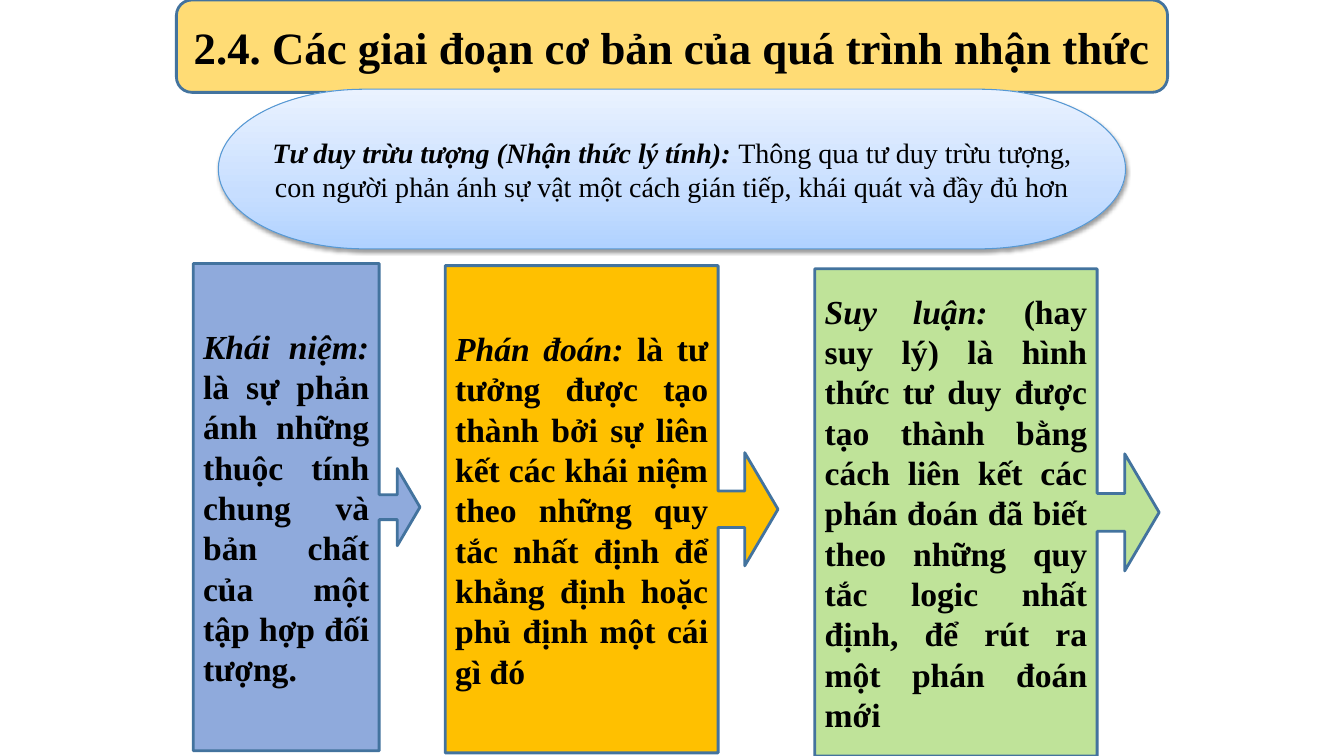
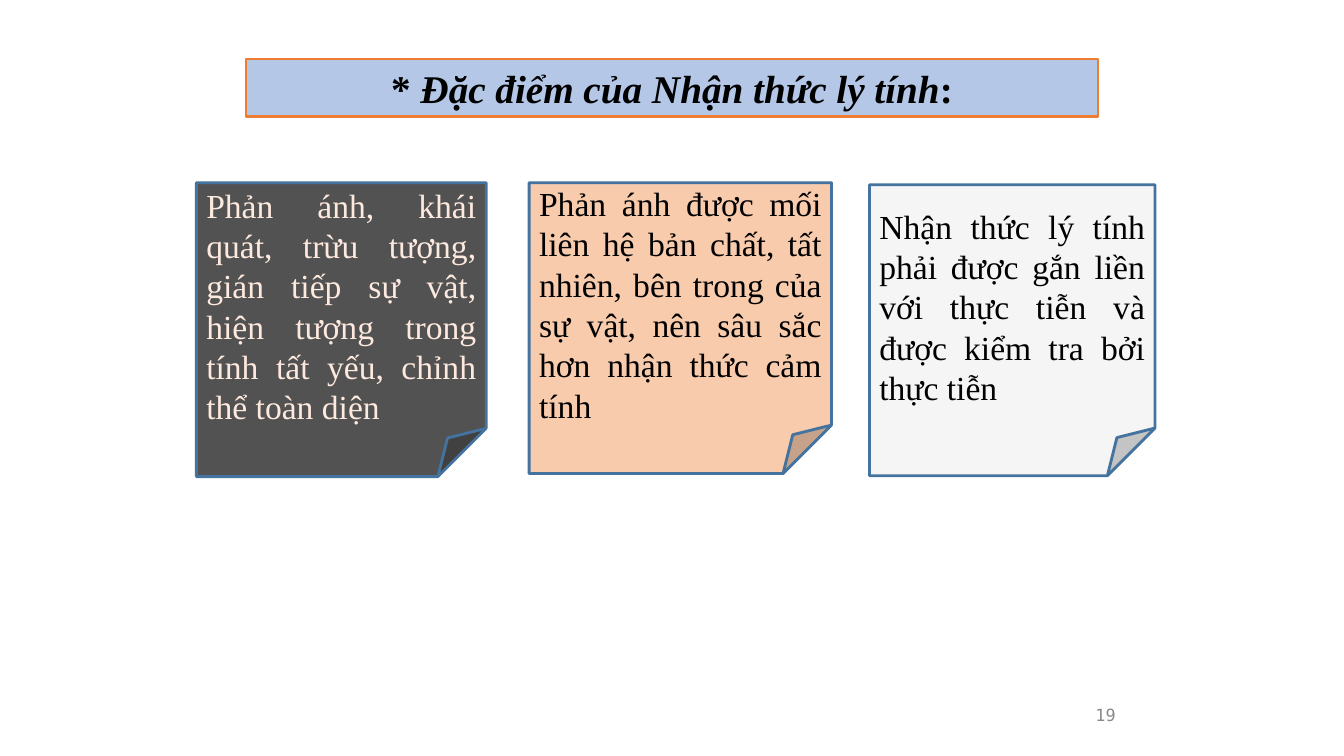
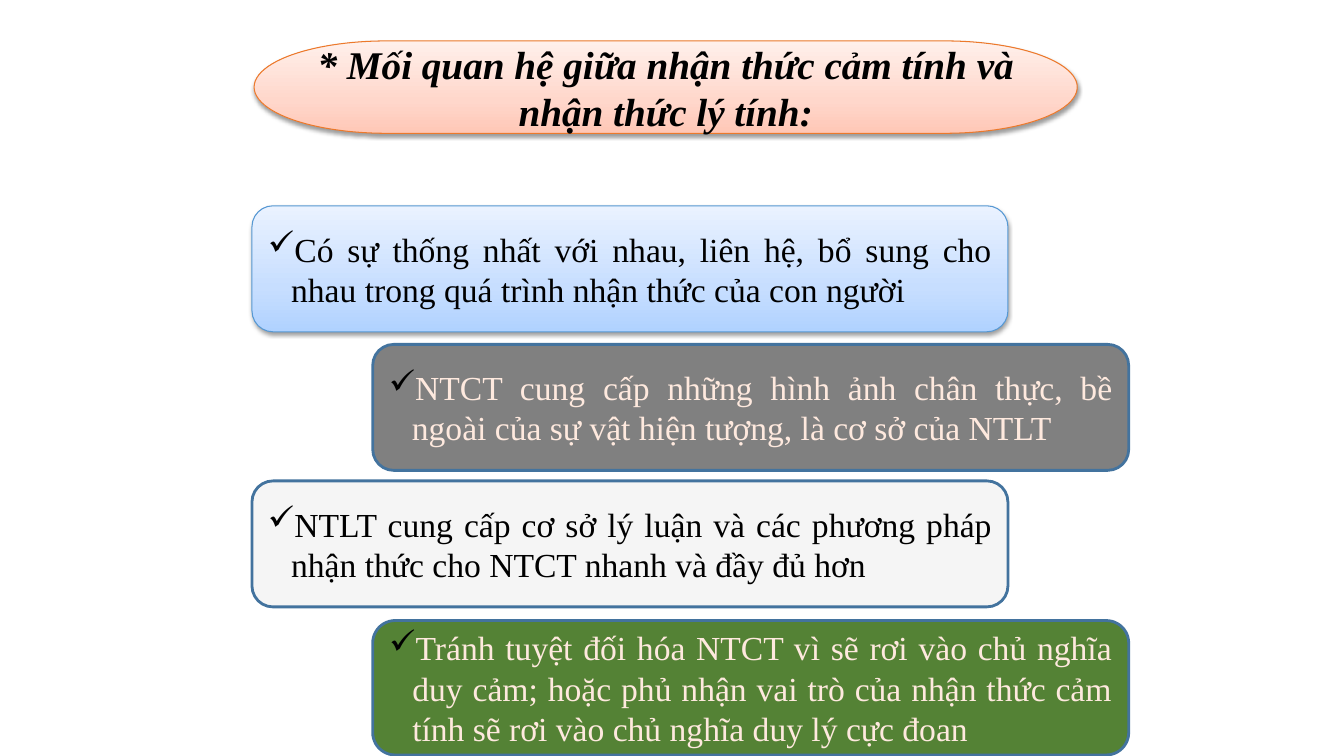
from lxml import etree
from pptx import Presentation
from pptx import util as u
from pptx.dml.color import RGBColor
from pptx.enum import shapes, text
from pptx.oxml.ns import qn

EMU_PER_PX = 9525
WIDTH, HEIGHT = 1280, 720
TITLE_ONLY = 5
COLOURS = {
    "black": "000000", "cream": "FEE9DE", "outline": "43739E",
    "yellow": "FFD966", "blue": "8FAADC", "amber": "FFC000",
    "green": "92D050", "pale blue": "B4C7E7", "orange": "ED7D31",
    "charcoal": "525252", "peach": "F8CBAD", "light grey": "F5F5F5",
    "grey": "808080", "forest": "548235", "number": "898989",
    "sky line": "5698D3", "coral line": "EC792B",
}
# Colours at 0, 35 and 100 percent, from bottom to top
GRADIENTS = {
    "sky": ("B0D2FF", "C7DEFF", "EAF2FF"),
    "coral": ("FFC7B6", "FFD7CB", "FFF0EB"),
}
SHAPE = shapes.MSO_SHAPE
ALIGN = text.PP_ALIGN


def px(length):
    return u.Emu(length * EMU_PER_PX)


def colour(name):
    return RGBColor.from_string(COLOURS[name])


def add_xml(parent, tag, **attributes):
    return etree.SubElement(parent, qn(tag), attributes)


class Deck:
    font = "Times New Roman"

    def __init__(self):
        self.presentation = Presentation()
        self.presentation.slide_width = px(WIDTH)
        self.presentation.slide_height = px(HEIGHT)
        self.slide = None

    def new_slide(self):
        layout = self.presentation.slide_layouts[TITLE_ONLY]
        self.slide = self.presentation.slides.add_slide(layout)

    def panel(self, kind, box, fill, line="outline", weight=2, opacity=100):
        """A preset shape; a gradient fill brings a soft shadow."""
        shape = self.slide.shapes.add_shape(kind, *map(px, box))
        shape.shadow.inherit = False
        shape.line.color.rgb = colour(line)
        shape.line.width = u.Pt(weight)
        if fill in GRADIENTS:
            self.gradient(shape, GRADIENTS[fill])
            return shape
        shape.fill.solid()
        shape.fill.fore_color.rgb = colour(fill)
        if opacity < 100:
            solid = shape.element.spPr.find(qn("a:solidFill"))
            add_xml(solid[0], "a:alpha", val=str(opacity * 1000))
        return shape

    def gradient(self, shape, stops):
        properties = shape.element.spPr
        fill = etree.Element(qn("a:gradFill"), rotWithShape="1")
        stop_list = add_xml(fill, "a:gsLst")
        for position, value in zip((0, 35, 100), stops):
            stop = add_xml(stop_list, "a:gs", pos=str(position * 1000))
            add_xml(stop, "a:srgbClr", val=value)
        add_xml(fill, "a:lin", ang="16200000", scaled="0")
        properties.find(qn("a:prstGeom")).addnext(fill)
        shadow = add_xml(properties.find(qn("a:effectLst")), "a:outerShdw",
                         blurRad="40000", dist="20000", dir="5400000", rotWithShape="0")
        shade = add_xml(shadow, "a:srgbClr", val=COLOURS["black"])
        add_xml(shade, "a:alpha", val="38000")

    def set_text(self, shape, runs, size=24, align=ALIGN.JUSTIFY, ink="black", font=None):
        """Runs are (text, style) pairs; b in the style is bold, i italic."""
        frame = shape.text_frame
        frame.word_wrap = True
        frame.auto_size = text.MSO_AUTO_SIZE.NONE
        frame.vertical_anchor = text.MSO_ANCHOR.MIDDLE
        paragraph = frame.paragraphs[0]
        paragraph.alignment = align
        paragraph.line_spacing = 1.0
        paragraph.font.name = font or self.font
        paragraph.font.size = u.Pt(size)
        paragraph.font.color.rgb = colour(ink)
        for words, style in runs:
            run = paragraph.add_run()
            run.text = words
            run.font.bold = "b" in style
            run.font.italic = "i" in style
        return paragraph

    def title(self, panel, runs, size=28, inset=10, space_before=0):
        """The title placeholder, laid over its panel."""
        title = self.slide.shapes.title
        title.left, title.top = panel.left, panel.top
        title.width, title.height = panel.width, panel.height
        panel.element.addnext(title.element)
        frame = title.text_frame
        frame.margin_left = frame.margin_right = px(inset)
        frame.margin_top = frame.margin_bottom = px(5)
        paragraph = self.set_text(title, runs, size, ALIGN.CENTER)
        paragraph.space_before = u.Pt(space_before)

    def tick(self, paragraph):
        """A hanging black tick bullet."""
        properties = paragraph._p.get_or_add_pPr()
        properties.set("marL", str(px(22)))
        properties.set("indent", str(-px(22)))
        bullet_colour = etree.Element(qn("a:buClr"))
        add_xml(bullet_colour, "a:srgbClr", val=COLOURS["black"])
        bullet = etree.Element(qn("a:buChar"), char="✓")
        properties.find(qn("a:defRPr")).addprevious(bullet_colour)
        bullet_colour.addnext(bullet)

    def slide_number(self, box, number):
        shape = self.slide.shapes.add_textbox(*map(px, box))
        self.set_text(shape, [(number, "")], 12, ALIGN.RIGHT, "number", "DejaVu Sans Mono")


def stages_slide(deck):
    deck.new_slide()
    panel = deck.panel(SHAPE.ROUNDED_RECTANGLE, (168, 0, 944, 88), "yellow", opacity=90)
    deck.title(panel, [("2.4. Các giai đoạn cơ bản của quá trình nhận thức", "b")], 32)

    # Three forms of abstract thinking
    forms = [
        (184, 251, 216, "blue", 100, "Khái niệm: ",
         "là sự phản ánh những thuộc tính chung và bản chất của một tập hợp đối tượng."),
        (424, 253, 317, "amber", 100, "Phán đoán: ",
         "là tư tưởng được tạo thành bởi sự liên kết các khái niệm theo những quy tắc "
         "nhất định để khẳng định hoặc phủ định một cái gì đó"),
        (776, 256, 328, "green", 58, "Suy luận: ",
         "(hay suy lý) là hình thức tư duy được tạo thành bằng cách liên kết các phán đoán "
         "đã biết theo những quy tắc logic nhất định, để rút ra một phán đoán mới"),
    ]
    for left, top, width, fill, opacity, term, meaning in forms:
        callout = deck.panel(SHAPE.RIGHT_ARROW_CALLOUT, (left, top, width, 464), fill,
                             opacity=opacity)
        for index, value in enumerate((0.11, 0.17, 0.1, 0.82)):
            callout.adjustments[index] = value
        deck.set_text(callout, [(term, "bi"), (meaning, "b")])

    # Definition
    definition = deck.panel(SHAPE.FLOWCHART_TERMINATOR, (208, 85, 864, 152), "sky",
                            "sky line", 0.75)
    deck.set_text(definition, [
        ("Tư duy trừu tượng (Nhận thức lý tính): ", "bi"),
        ("Thông qua tư duy trừu tượng, con người phản ánh sự vật một cách gián tiếp, "
         "khái quát và đầy đủ hơn", "")], 20, ALIGN.CENTER)


def features_slide(deck):
    deck.new_slide()
    panel = deck.panel(SHAPE.RECTANGLE, (234, 56, 812, 55), "pale blue", "orange", 1.5)
    deck.title(panel, [("* ", "b"), ("Đặc điểm của Nhận thức lý tính", "bi"), (":", "b")],
               space_before=3)
    deck.slide_number((848, 656, 224, 50), "19")

    # Feature notes
    notes = [
        ((187, 174, 276, 280), "charcoal", "cream",
         "Phản ánh, khái quát, trừu tượng, gián tiếp sự vật, hiện tượng trong tính tất yếu, "
         "chỉnh thể toàn diện"),
        ((504, 174, 288, 277), "peach", "black",
         "Phản ánh được mối liên hệ bản chất, tất nhiên, bên trong của sự vật, nên sâu sắc "
         "hơn nhận thức cảm tính"),
        ((828, 176, 272, 277), "light grey", "black",
         "Nhận thức lý tính phải được gắn liền với thực tiễn và được kiểm tra bởi thực tiễn"),
    ]
    for box, fill, ink, words in notes:
        note = deck.panel(SHAPE.FOLDED_CORNER, box, fill)
        deck.set_text(note, [(words, "")], ink=ink)


def relation_slide(deck):
    deck.new_slide()
    panel = deck.panel(SHAPE.FLOWCHART_TERMINATOR, (242, 39, 784, 88), "coral",
                       "coral line", 0.75)
    deck.title(panel, [("* Mối quan hệ giữa nhận thức cảm tính và nhận thức lý tính:", "bi")],
               inset=47, space_before=5)

    # Staggered statements
    left, right = 240, 355
    statements = [
        (left, 196, 120, ("sky", "sky line", 0.75), "black",
         "Có sự thống nhất với nhau, liên hệ, bổ sung cho nhau trong quá trình nhận thức "
         "của con người"),
        (right, 328, 120, ("grey",), "cream",
         "NTCT cung cấp những hình ảnh chân thực, bề ngoài của sự vật hiện tượng, "
         "là cơ sở của NTLT"),
        (left, 458, 120, ("light grey",), "black",
         "NTLT cung cấp cơ sở lý luận và các phương pháp nhận thức cho NTCT nhanh và "
         "đầy đủ hơn"),
        (right, 591, 128, ("forest",), "cream",
         "Tránh tuyệt đối hóa NTCT vì sẽ rơi vào chủ nghĩa duy cảm; hoặc phủ nhận vai trò "
         "của nhận thức cảm tính sẽ rơi vào chủ nghĩa duy lý cực đoan"),
    ]
    for start, top, height, look, ink, words in statements:
        statement = deck.panel(SHAPE.ROUNDED_RECTANGLE, (start, top, 720, height), *look)
        deck.tick(deck.set_text(statement, [(words, "")], ink=ink))


def main():
    deck = Deck()
    stages_slide(deck)
    features_slide(deck)
    relation_slide(deck)
    deck.presentation.save("out.pptx")


if __name__ == "__main__":
    main()
